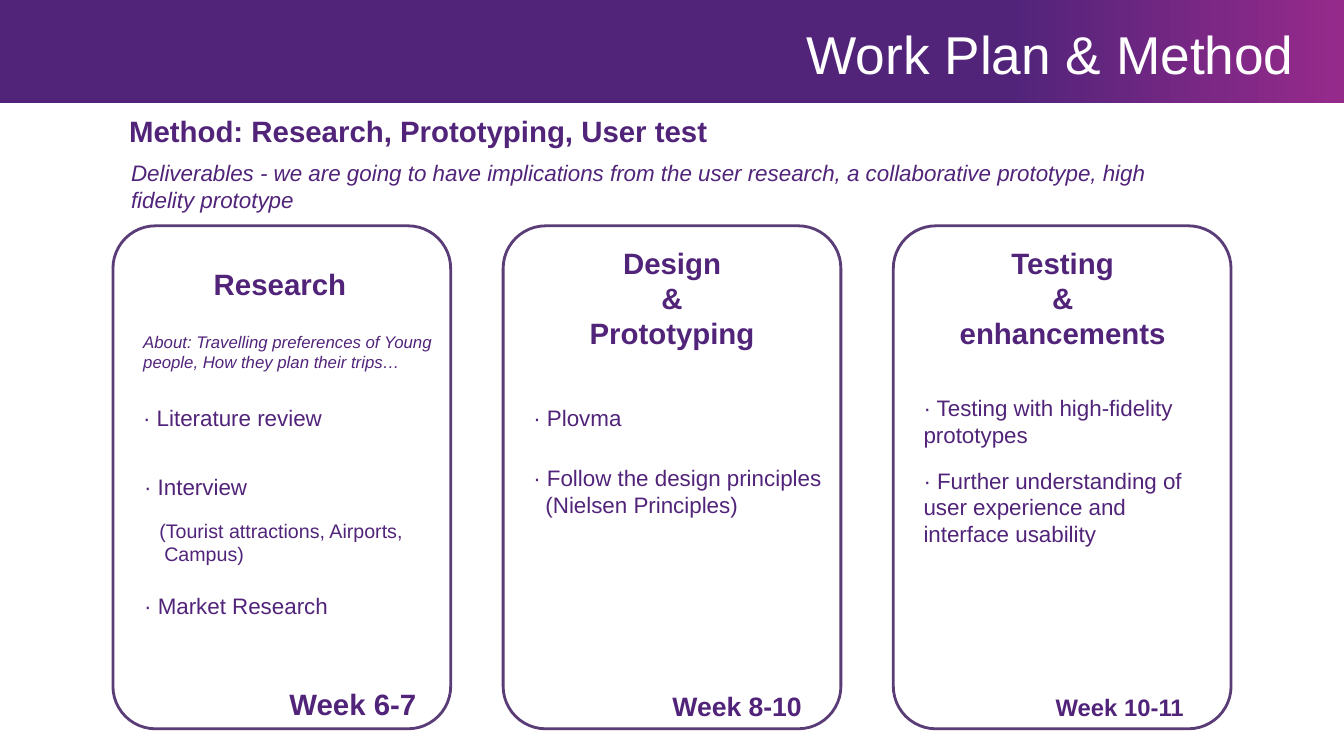
from pptx import Presentation
from pptx.dml.color import RGBColor
from pptx.enum.shapes import MSO_SHAPE
from pptx.enum.text import MSO_ANCHOR, PP_ALIGN
from pptx.oxml.ns import qn
from pptx.util import Pt
from lxml import etree

RECT, ROUND = MSO_SHAPE.RECTANGLE, MSO_SHAPE.ROUNDED_RECTANGLE
TOP, MID, LOW = MSO_ANCHOR.TOP, MSO_ANCHOR.MIDDLE, MSO_ANCHOR.BOTTOM
LEFT, CENTER = PP_ALIGN.LEFT, PP_ALIGN.CENTER

PX = 9144  # 100 px to the inch
WIDE, HIGH = 1333, 750
PURPLE, PLUM, EDGE, WHITE = "51247A", "962A8B", "401C61", "FFFFFF"

# Text styles
STYLES = {
    "title": {"size": Pt(38), "color": WHITE},
    "head": {"size": Pt(21), "bold": True},
    "week": {"size": Pt(19), "bold": True},
    "late": {"size": Pt(17), "bold": True},
    "lead": {"size": Pt(16), "italic": True},
    "about": {"size": Pt(12), "italic": True},
    "item": {"size": Pt(16)},
    "note": {"size": Pt(14)},
}

# Text: box (left, top, width, height), style, anchor, align, lines (text, indent)
TOPS = [
    ((800, 7, 528, 77), "title", LOW, LEFT, [("Work Plan & Method", 0)]),
    ((128, 111, 725, 36), "head", LOW, LEFT,
     [("Method: Research, Prototyping, User test", 0)]),
    ((130, 158, 1040, 54), "lead", TOP, LEFT,
     [("Deliverables - we are going to have implications from the user "
       "research, a collaborative prototype, high fidelity prototype", 0)]),
]

# Cards: the left of each box is counted from its card
CARDS = [
    [
        ((100, 263, 134, 36), "head", LOW, LEFT, [("Research", 0)]),
        ((30, 302, 295, 67), "about", LOW, LEFT,
         [("About: Travelling preferences of Young people, "
           "How they plan their trips…", 0)]),
        ((30, 376, 276, 52), "item", LOW, LEFT, [("· Literature review", 0)]),
        ((31, 432, 163, 102), "item", MID, LEFT, [("· Interview", 0)]),
        ((46, 487, 260, 102), "note", MID, LEFT,
         [("(Tourist attractions, Airports,", 0), ("Campus)", 5)]),
        ((31, 550, 239, 102), "item", MID, LEFT, [("· Market Research", 0)]),
        ((175, 680, 134, 36), "head", LOW, LEFT, [("Week 6-7", 0)]),
    ],
    [
        ((78, 199, 179, 149), "head", LOW, CENTER,
         [("Design", 0), ("&", 0), ("Prototyping", 0)]),
        ((30, 376, 276, 52), "item", LOW, LEFT, [("· Plovma", 0)]),
        ((30, 432, 310, 82), "item", LOW, LEFT,
         [("· Follow the design principles", 0), ("(Nielsen Principles)", 12)]),
        ((168, 680, 134, 36), "week", LOW, LEFT, [("Week 8-10", 0)]),
    ],
    [
        ((65, 199, 206, 149), "head", LOW, CENTER,
         [("Testing", 0), ("&", 0), ("enhancements", 0)]),
        ((30, 377, 276, 67), "item", LOW, LEFT,
         [("· Testing with high-fidelity prototypes", 0)]),
        ((30, 445, 276, 98), "item", LOW, LEFT,
         [("· Further understanding of user experience and interface "
           "usability", 0)]),
        ((161, 680, 134, 36), "late", LOW, LEFT, [("Week 10-11", 0)]),
    ],
]
CARD_X, CARD_Y, CARD_W, CARD_H, STEP = 112, 224, 335, 499, 387


def rgb(code):
    return RGBColor.from_string(code)


def emu(box):
    return [n * PX for n in box]


def fade(fill):
    color = fill._xPr.find(qn("a:solidFill"))[0]
    etree.SubElement(color, qn("a:alpha"), val="85000")


def add_text(box, style, anchor, align, lines):
    frame = slide.shapes.add_textbox(*emu(box)).text_frame
    form = {"word_wrap": True, "vertical_anchor": anchor, "margin_left": 0,
            "margin_top": 0, "margin_right": 0, "margin_bottom": 0}
    for key, val in form.items():
        setattr(frame, key, val)
    for i, (text, indent) in enumerate(lines):
        para = frame.add_paragraph() if i else frame.paragraphs[0]
        para.alignment = align
        if indent:
            para._p.get_or_add_pPr().set("marL", str(indent * PX))
        run = para.add_run()
        run.text = text
        look = {"name": "Arial", "color": PURPLE, **STYLES[style]}
        run.font.color.rgb = rgb(look.pop("color"))
        for key, val in look.items():
            setattr(run.font, key, val)


deck = Presentation()
deck.slide_width, deck.slide_height = emu((WIDE, HIGH))
slide = deck.slides.add_slide(deck.slide_layouts[6])

# Banner with a gradient that is flat for three quarters
band = slide.shapes.add_shape(RECT, *emu((0, 0, WIDE, 102)))
band.shadow.inherit = False
band.line.fill.background()
band.fill.gradient()
band.fill.gradient_angle = 0
stops = band.fill._xPr.find(qn("a:gradFill")).find(qn("a:gsLst"))
stops.clear()
for spot, code in [(0, PURPLE), (75, PURPLE), (100, PLUM)]:
    stop = etree.SubElement(stops, qn("a:gs"), pos=str(spot * 1000))
    etree.SubElement(stop, qn("a:srgbClr"), val=code)

for part in TOPS:
    add_text(*part)

# Cards in equal steps
for i, parts in enumerate(CARDS):
    left = CARD_X + i * STEP
    card = slide.shapes.add_shape(ROUND, *emu((left, CARD_Y, CARD_W, CARD_H)))
    card.shadow.inherit = False
    card.adjustments[0] = 0.126
    card.line.width = Pt(2)
    for fill, code in [(card.fill, WHITE), (card.line.fill, EDGE)]:
        fill.solid()
        fill.fore_color.rgb = rgb(code)
        fade(fill)
    for (x, *rest), *spec in parts:
        add_text((left + x, *rest), *spec)

deck.save("out.pptx")
